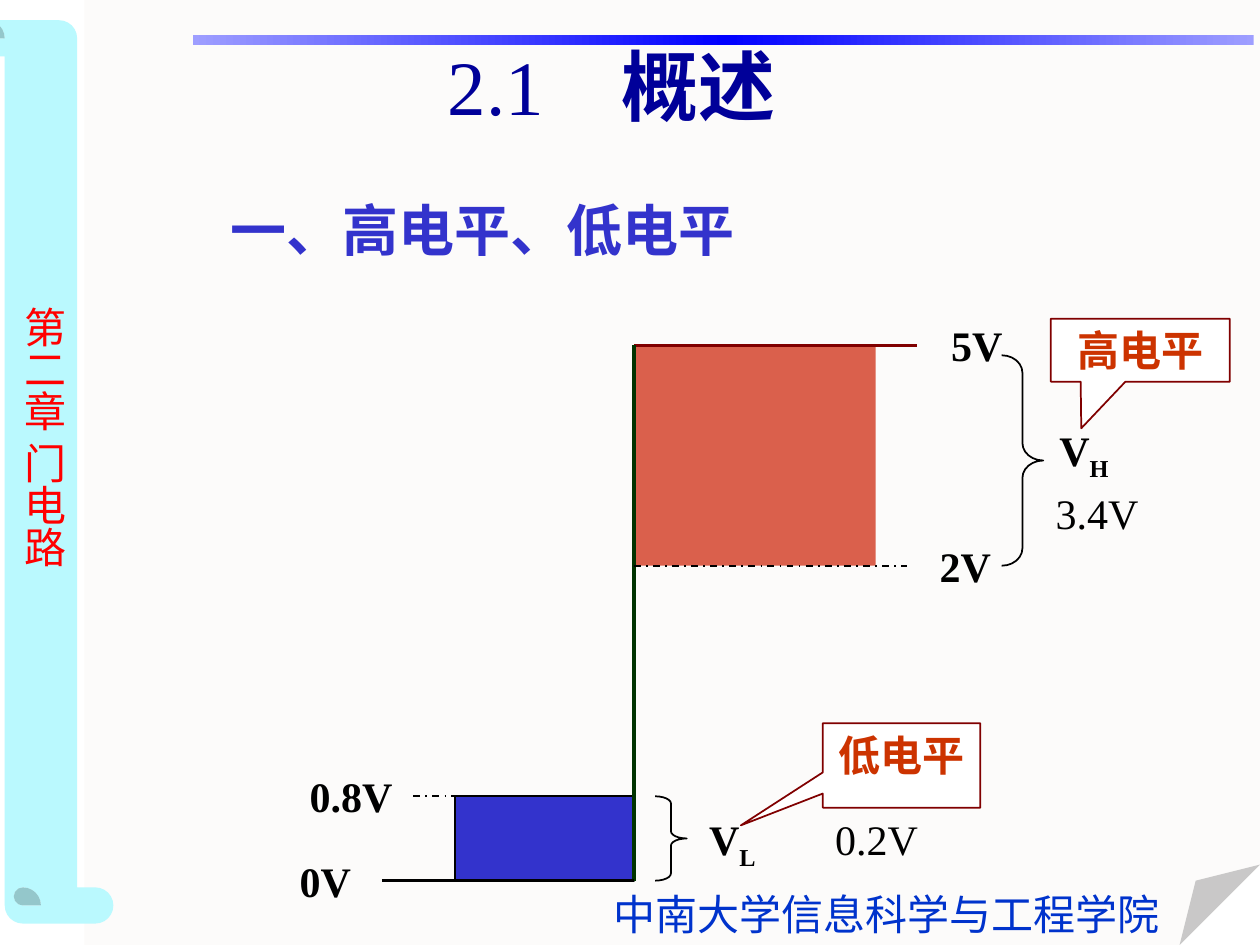
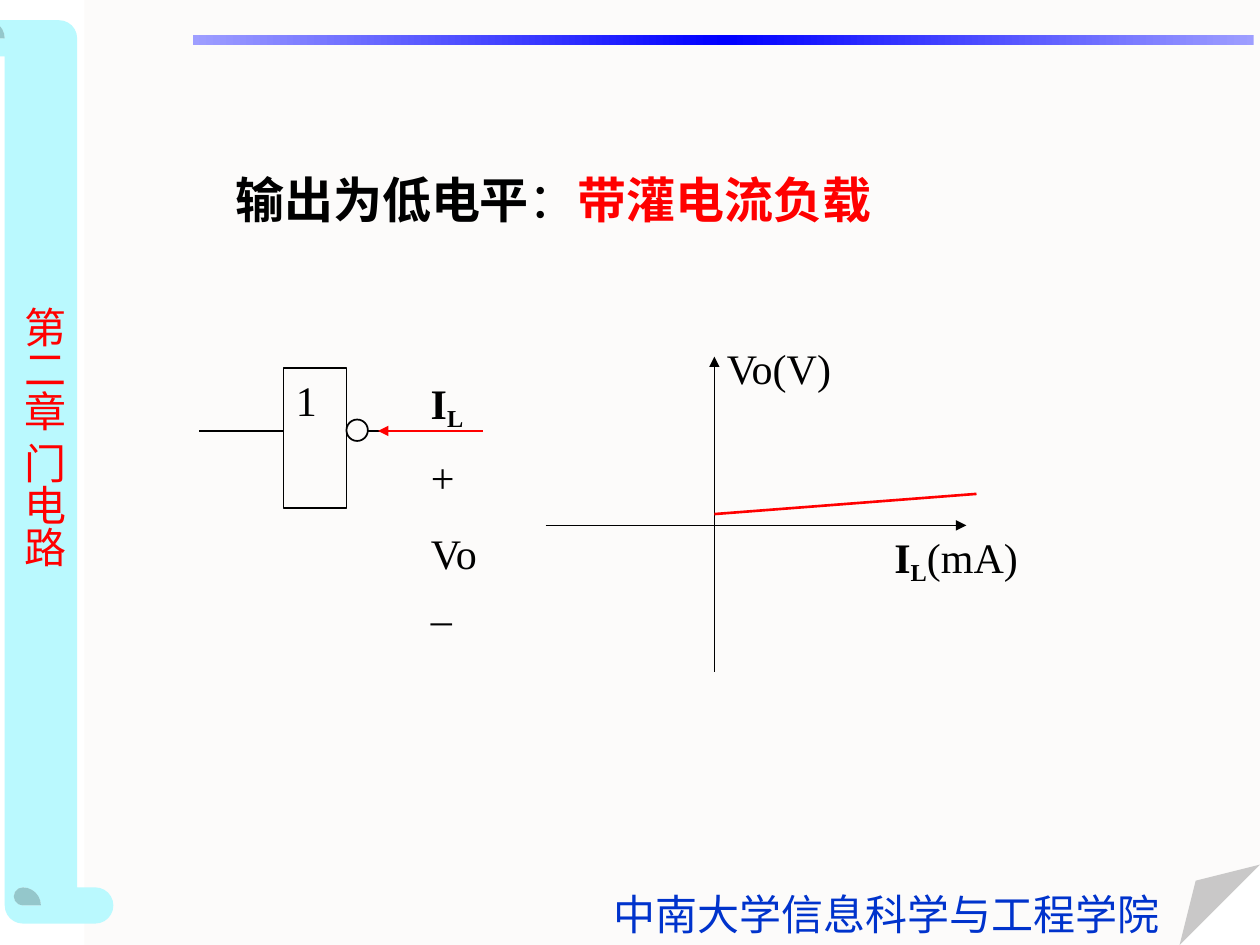
from copy import deepcopy

from lxml.etree import SubElement
from pptx import Presentation
from pptx.dml.color import RGBColor
from pptx.enum.dml import MSO_LINE
from pptx.enum.shapes import MSO_CONNECTOR, MSO_SHAPE
from pptx.enum.text import MSO_ANCHOR, PP_ALIGN
from pptx.oxml.ns import qn
from pptx.util import Inches, Pt

COLORS = {
    "paper": "FCFBFA", "scroll": "BAF9FE", "band edge": "9E9EFF", "band middle": "0000FF",
    "school": "0033CC", "red": "FF0000", "title": "000099", "heading": "3333CC",
    "black": "000000", "white": "FFFFFF", "high": "DA604C", "maroon": "800000",
    "axis": "003300", "callout": "CC3300",
}
COLORS = {name: RGBColor.from_string(value) for name, value in COLORS.items()}
LATIN = "Times New Roman"
CHINESE = "Noto Sans CJK SC"


def draw(slide, kind, box, fill=None, line=None, adjustments=()):
    shape = slide.shapes.add_shape(kind, *map(Inches, box))
    shape.shadow.inherit = False
    if fill:
        shape.fill.solid()
        shape.fill.fore_color.rgb = COLORS[fill]
    else:
        shape.fill.background()
    if line:
        shape.line.color.rgb = COLORS[line]
        shape.line.width = Pt(1)
    else:
        shape.line.fill.background()
    guides = shape._element.spPr.find(".//" + qn("a:avLst"))
    guides.clear()
    for number, value in enumerate(adjustments, 1):
        guide = f"adj{number}" if len(adjustments) > 1 else "adj"
        SubElement(guides, qn("a:gd"), name=guide, fmla=f"val {round(value * 100000)}")
    return shape


def write(shape, text, size=24, color="black", bold=False, align=PP_ALIGN.LEFT,
          anchor=MSO_ANCHOR.TOP, wrap=True, font=LATIN, before=None):
    frame = shape.text_frame
    frame.word_wrap = wrap
    frame.vertical_anchor = anchor
    paragraph = frame.add_paragraph() if frame.text else frame.paragraphs[0]
    paragraph.add_run().text = text
    paragraph.alignment = align
    if before:
        paragraph.space_before = Pt(before)
    paragraph.font.name = font
    paragraph.font.size = Pt(size)
    paragraph.font.bold = bold
    paragraph.font.color.rgb = COLORS[color]
    SubElement(paragraph._p.pPr.find(qn("a:defRPr")), qn("a:ea"), typeface=CHINESE)
    return paragraph


deck = Presentation()
deck.slide_width, deck.slide_height = Inches(10), Inches(7.5)
levels, sinking = [deck.slides.add_slide(deck.slide_layouts[6]) for _ in range(2)]

for slide in (levels, sinking):
    draw(slide, MSO_SHAPE.FOLDED_CORNER, (0.67, 0, 9.33, 7.5), "paper", adjustments=[0.085])
    scroll = draw(slide, MSO_SHAPE.HORIZONTAL_SCROLL, (-3.26, 3.17, 7.17, 1.15), "scroll",
                  adjustments=[0.25])
    scroll.rotation = 270

    band = draw(slide, MSO_SHAPE.RECTANGLE, (1.53, 0.28, 8.42, 0.08))
    band.fill.gradient()
    band.fill.gradient_angle = 0
    stops = band._element.spPr.find(".//" + qn("a:gsLst"))
    stops.append(deepcopy(stops[0]))
    for stop, position, color in zip(band.fill.gradient_stops, (0, 0.5, 1),
                                     ("band edge", "band middle", "band edge")):
        stop.position = position
        stop.color.rgb = COLORS[color]

    school = slide.shapes.add_textbox(*map(Inches, (4.77, 7, 4.53, 0.5)))
    write(school, "中南大学信息科学与工程学院", color="school", wrap=False)

    chapter = slide.shapes.add_textbox(*map(Inches, (0, 2.33, 0.6, 2.27)))
    write(chapter, "第二章 门电路", color="red", wrap=False, font=CHINESE)
    chapter.text_frame.margin_left = chapter.text_frame.margin_right = Inches(0.05)
    chapter.text_frame.margin_top = chapter.text_frame.margin_bottom = Inches(0.1)
    chapter.text_frame._txBody.bodyPr.set("vert", "eaVert")

overview = levels.shapes.add_textbox(*map(Inches, (1.73, 0.28, 6.25, 1.83)))
section = write(overview, "2.1　", 44, "title", align=PP_ALIGN.CENTER, anchor=MSO_ANCHOR.MIDDLE)
name = section.add_run()
name.text = "概述"
name.font.bold = True
write(overview, "一、高电平、低电平", 32, "heading", True, anchor=MSO_ANCHOR.MIDDLE,
      font=CHINESE, before=37)

output = sinking.shapes.add_textbox(*map(Inches, (1.77, 1.3, 5.64, 0.56)))
state = write(output, "输出为低电平", 28, bold=True, anchor=MSO_ANCHOR.MIDDLE)
colon = state.add_run()
colon.text = "："
colon.font.bold = False
load = state.add_run()
load.text = "带灌电流负载"
load.font.color.rgb = COLORS["red"]

draw(levels, MSO_SHAPE.RECTANGLE, (3.61, 6.32, 1.42, 0.67), "heading", "black")
draw(levels, MSO_SHAPE.RECTANGLE, (5.03, 2.74, 1.92, 1.75), "high")
draw(levels, MSO_SHAPE.RIGHT_BRACE, (7.95, 2.82, 0.33, 1.67), line="black", adjustments=[0.42, 0.5])
draw(levels, MSO_SHAPE.RIGHT_BRACE, (5.2, 6.32, 0.25, 0.67), line="black", adjustments=[0.23, 0.5])
gate = draw(sinking, MSO_SHAPE.RECTANGLE, (2.25, 2.92, 0.5, 1.11), line="black")
write(gate, "1")
draw(sinking, MSO_SHAPE.OVAL, (2.75, 3.33, 0.17, 0.17), line="black")

for slide, start, end, color, width, dash, arrow in (
    (levels, (5.03, 2.74), (7.28, 2.74), "maroon", 1.5, False, False),
    (levels, (5.03, 2.74), (5.03, 6.99), "axis", 2.25, False, False),
    (levels, (3.03, 6.99), (5.03, 6.99), "black", 1.5, False, False),
    (levels, (5.03, 4.49), (7.2, 4.49), "black", 1, True, False),
    (levels, (3.28, 6.32), (5.03, 6.32), "black", 1, True, False),
    (sinking, (1.58, 3.42), (2.25, 3.42), "black", 1, False, False),
    (sinking, (2.92, 3.42), (3.83, 3.42), "black", 1, False, False),
    (sinking, (3.83, 3.42), (3, 3.42), "red", 1, False, True),
    (sinking, (4.33, 4.17), (7.67, 4.17), "black", 1, False, True),
    (sinking, (5.67, 5.33), (5.67, 2.83), "black", 1, False, True),
    (sinking, (5.67, 4.08), (7.75, 3.92), "red", 1.5, False, False),
):
    connector = slide.shapes.add_connector(MSO_CONNECTOR.STRAIGHT, *map(Inches, start + end))
    connector.line.color.rgb = COLORS[color]
    connector.line.width = Pt(width)
    if dash:
        connector.line.dash_style = MSO_LINE.DASH_DOT
    if arrow:
        SubElement(connector.line._get_or_add_ln(), qn("a:tailEnd"), type="triangle")
    SubElement(connector._element.spPr, qn("a:effectLst"))

for slide, label, box, bold in (
    (levels, "5V", (7.45, 2.49, 0.75, 0.5), True),
    (levels, "2V", (7.36, 4.24, 0.67, 0.5), True),
    (levels, "0V", (2.28, 6.74, 0.75, 0.5), True),
    (levels, "0.8V", (2.36, 6.07, 1, 0.5), True),
    (levels, "3.4V", (8.28, 3.82, 1, 0.5), False),
    (levels, "0.2V", (6.53, 6.41, 1.08, 0.5), False),
    (sinking, "Vo(V)", (5.67, 2.67, 1.83, 0.5), False),
):
    write(slide.shapes.add_textbox(*map(Inches, box)), label, bold=bold)

for slide, symbol, index, unit, drop, box in (
    (levels, "V", "H", "", -25000, (8.31, 3.32, 0.73, 0.56)),
    (levels, "V", "L", "", -25000, (5.53, 6.41, 0.73, 0.56)),
    (sinking, "I", "L", "", -18000, (3.32, 2.95, 0.6, 0.53)),
    (sinking, "I", "L", "(mA)", -18000, (7, 4.17, 1.33, 0.53)),
):
    quantity = write(slide.shapes.add_textbox(*map(Inches, box)), symbol, bold=True)
    subscript = quantity.add_run()
    subscript.text = index
    subscript._r.get_or_add_rPr().set("baseline", str(drop))
    if unit:
        suffix = quantity.add_run()
        suffix.text = unit
        suffix.font.bold = False

voltage = sinking.shapes.add_textbox(*map(Inches, (3.42, 3.58, 0.5, 1.41)))
voltage.text_frame.margin_left = voltage.text_frame.margin_right = 0
voltage.text_frame.margin_top = voltage.text_frame.margin_bottom = 0
write(voltage, "+")
write(voltage, "Vo_", before=15)

for level, box, tip in (
    ("低电平", (6.53, 5.74, 1.25, 0.67), (-1.02, 0.71)),
    ("高电平", (8.34, 2.53, 1.42, 0.5), (-0.33, 1.24)),
):
    callout = draw(levels, MSO_SHAPE.RECTANGULAR_CALLOUT, box, "white", "maroon", tip)
    write(callout, level, color="callout", bold=True, align=PP_ALIGN.CENTER)

deck.save("out.pptx")
